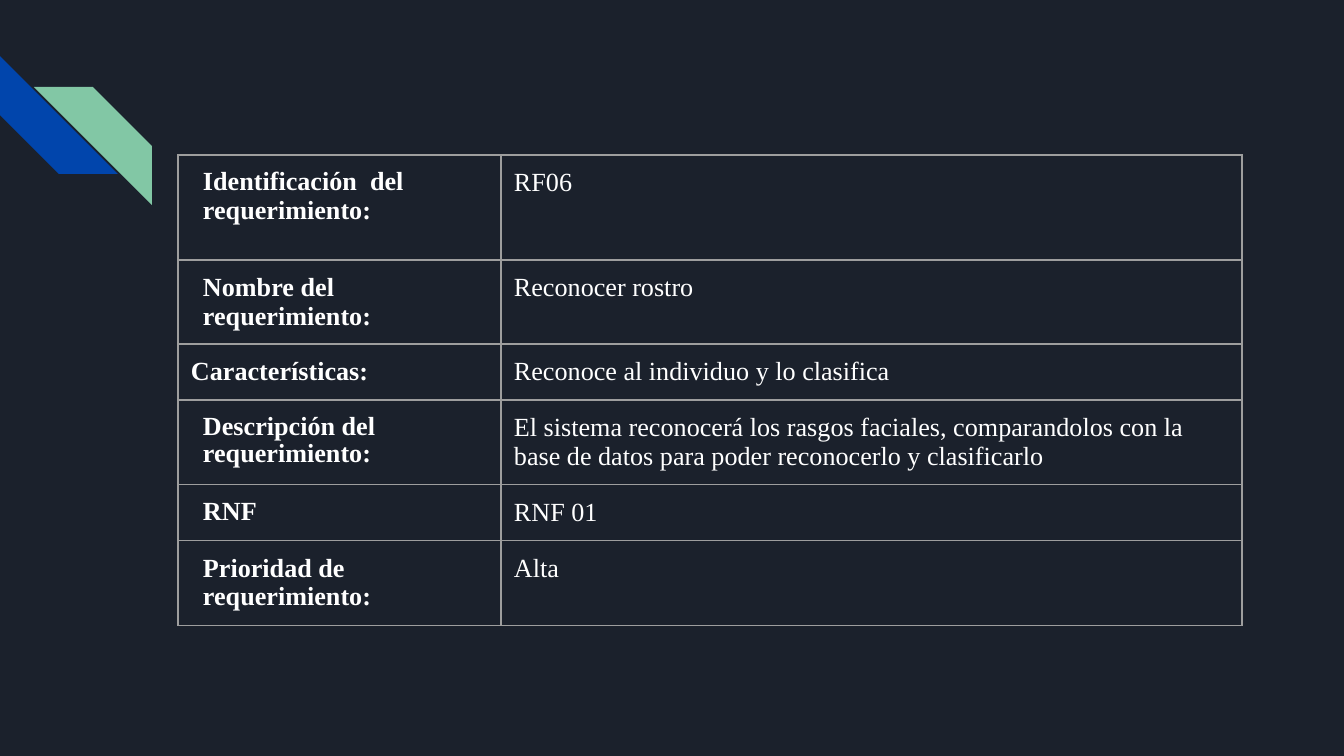
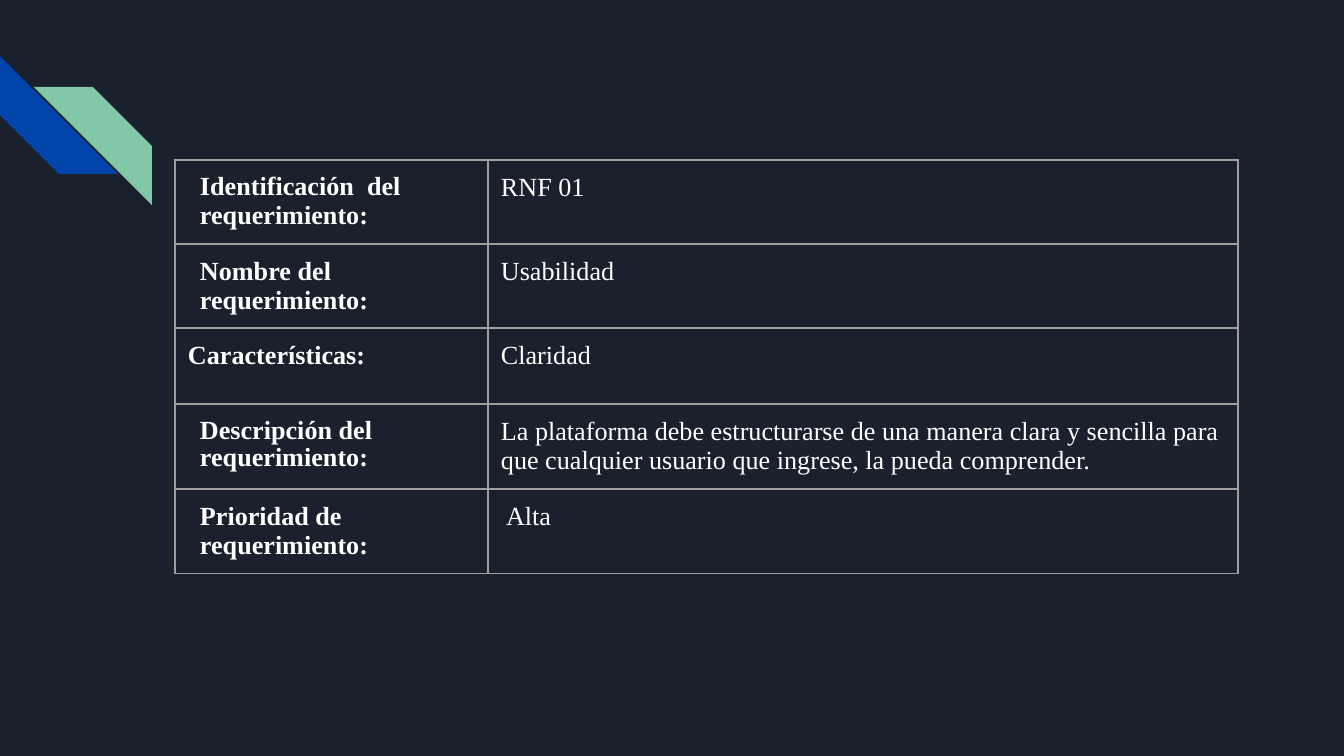
from lxml.etree import SubElement
from pptx import Presentation
from pptx.dml.color import RGBColor
from pptx.enum.shapes import MSO_SHAPE
from pptx.oxml.ns import qn
from pptx.util import Pt

BACKGROUND, BLUE, GREEN, GRID = "1B212C", "0145AC", "82C7A5", "9E9E9E"
INDENT = 12
MARGIN = 13


def px(n):
    return round(n * 914400 / 134.4)


def rgb(value):
    return RGBColor.from_string(value)


def label(*lines, indent=INDENT, **spacing):
    return [(line, indent, spacing) for line in lines]


IDENTIFICATION = (label("Identificación  del", line_spacing=0.96)
                  + label("requerimiento:", space_before=Pt(0.3)))
NAME = label("Nombre del", "requerimiento:")
FEATURES = label("Características:", indent=0)
DESCRIPTION = label("Descripción del requerimiento:", line_spacing=0.96)
RNF = label("RNF", line_spacing=0.96)
PRIORITY = label("Prioridad de", "requerimiento:")


class Deck:
    font = {"name": "Times New Roman", "size": Pt(14)}
    text_color = "FFFFFF"

    def __init__(self):
        self.prs = Presentation()
        self.prs.slide_width = px(1344)
        self.prs.slide_height = px(756)

    def slide(self):
        self.s = self.prs.slides.add_slide(self.prs.slide_layouts[6])
        fill = self.s.background.fill
        fill.solid()
        fill.fore_color.rgb = rgb(BACKGROUND)
        self.stripe(0, 56, BLUE, rotation=270)
        self.stripe(34, 87, GREEN, flip=True)

    def stripe(self, x, y, color, rotation=0, flip=False):
        sp = self.s.shapes.add_shape(
            MSO_SHAPE.DIAGONAL_STRIPE, px(x), px(y), px(118), px(118))
        sp.adjustments[0] = 0.5
        sp.rotation = rotation
        sp.shadow.inherit = False
        sp.fill.solid()
        sp.fill.fore_color.rgb = rgb(color)
        sp.line.fill.background()
        if flip:
            sp._element.spPr.find(qn("a:xfrm")).set("flipH", "1")

    def borders(self, cell):
        tc_pr = cell._tc.get_or_add_tcPr()
        for side in ("lnL", "lnR", "lnT", "lnB"):
            ln = SubElement(tc_pr, qn(f"a:{side}"), w=str(Pt(0.75)))
            fill = SubElement(ln, qn("a:solidFill"))
            SubElement(fill, qn("a:srgbClr"), val=GRID)

    def cell(self, cell, paragraphs, bold):
        for side in ("left", "right", "top", "bottom"):
            setattr(cell, f"margin_{side}", px(MARGIN))
        self.borders(cell)
        cell.fill.background()
        tf = cell.text_frame
        for i, (text, indent, spacing) in enumerate(paragraphs):
            p = tf.add_paragraph() if i else tf.paragraphs[0]
            for key, value in spacing.items():
                setattr(p, key, value)
            if indent:
                p._p.get_or_add_pPr().set("marL", str(px(indent)))
            r = p.add_run()
            r.text = text
            for key, value in {**self.font, "bold": bold}.items():
                setattr(r.font, key, value)
            r.font.color.rgb = rgb(self.text_color)

    def table(self, x, y, widths, rows):
        heights = [height for height, _, _ in rows]
        table = self.s.shapes.add_table(
            len(rows), len(widths), px(x), px(y),
            px(sum(widths)), px(sum(heights))).table
        table.first_row = table.horz_banding = False
        for column, width in zip(table.columns, widths):
            column.width = px(width)
        for i, (height, heading, value) in enumerate(rows):
            table.rows[i].height = px(height)
            self.cell(table.cell(i, 0), heading, True)
            self.cell(table.cell(i, 1), label(value, indent=0), False)


def main():
    deck = Deck()

    deck.slide()
    deck.table(178, 155, (323, 741), [
        (105, IDENTIFICATION, "RF06"),
        (84, NAME, "Reconocer rostro"),
        (56, FEATURES, "Reconoce al individuo y lo clasifica"),
        (85, DESCRIPTION,
         "El sistema reconocerá los rasgos faciales, comparandolos con la "
         "base de datos para poder reconocerlo y clasificarlo"),
        (56, RNF, "RNF 01"),
        (85, PRIORITY, "Alta"),
    ])

    deck.slide()
    deck.table(175, 160, (313, 750), [
        (84, IDENTIFICATION, "RNF 01"),
        (84, NAME, "Usabilidad"),
        (76, FEATURES, "Claridad"),
        (85, DESCRIPTION,
         "La plataforma debe estructurarse de una manera clara y sencilla "
         "para que cualquier usuario que ingrese, la pueda comprender."),
        (85, PRIORITY, " Alta"),
    ])

    deck.prs.save("out.pptx")


if __name__ == "__main__":
    main()
